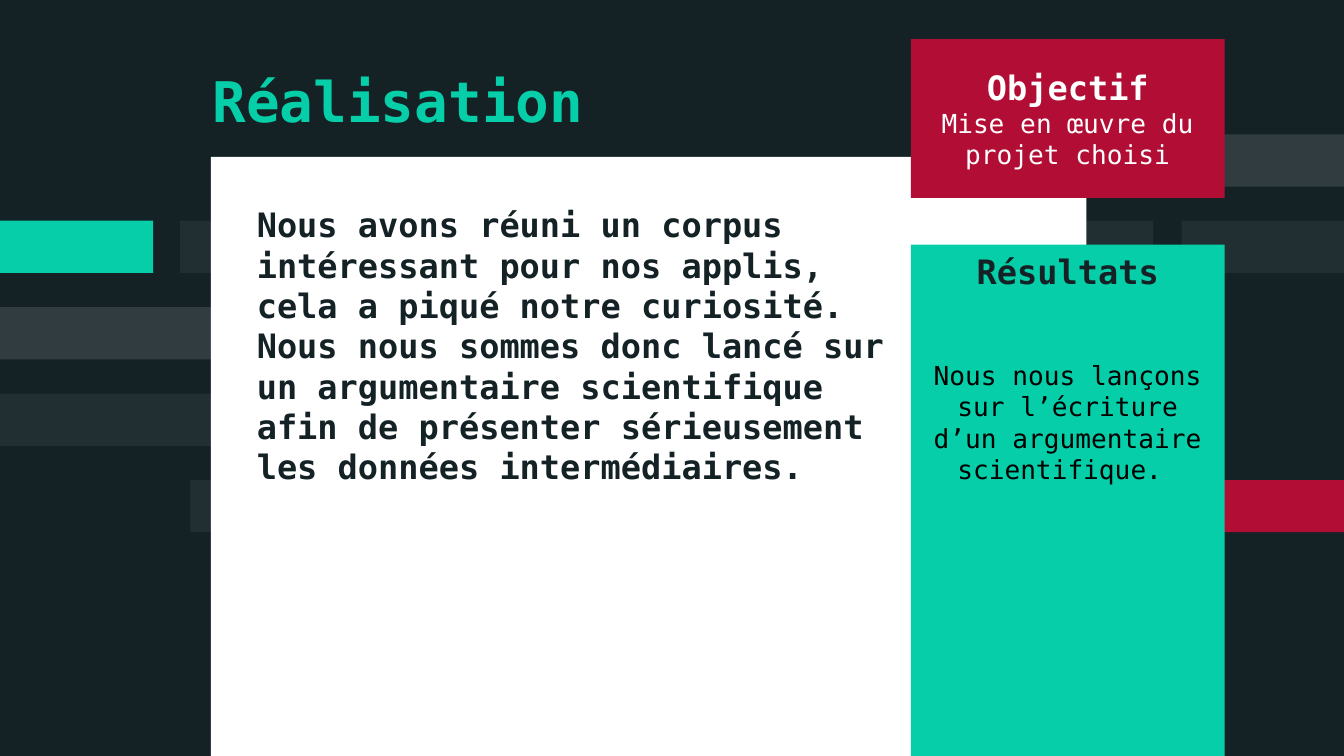
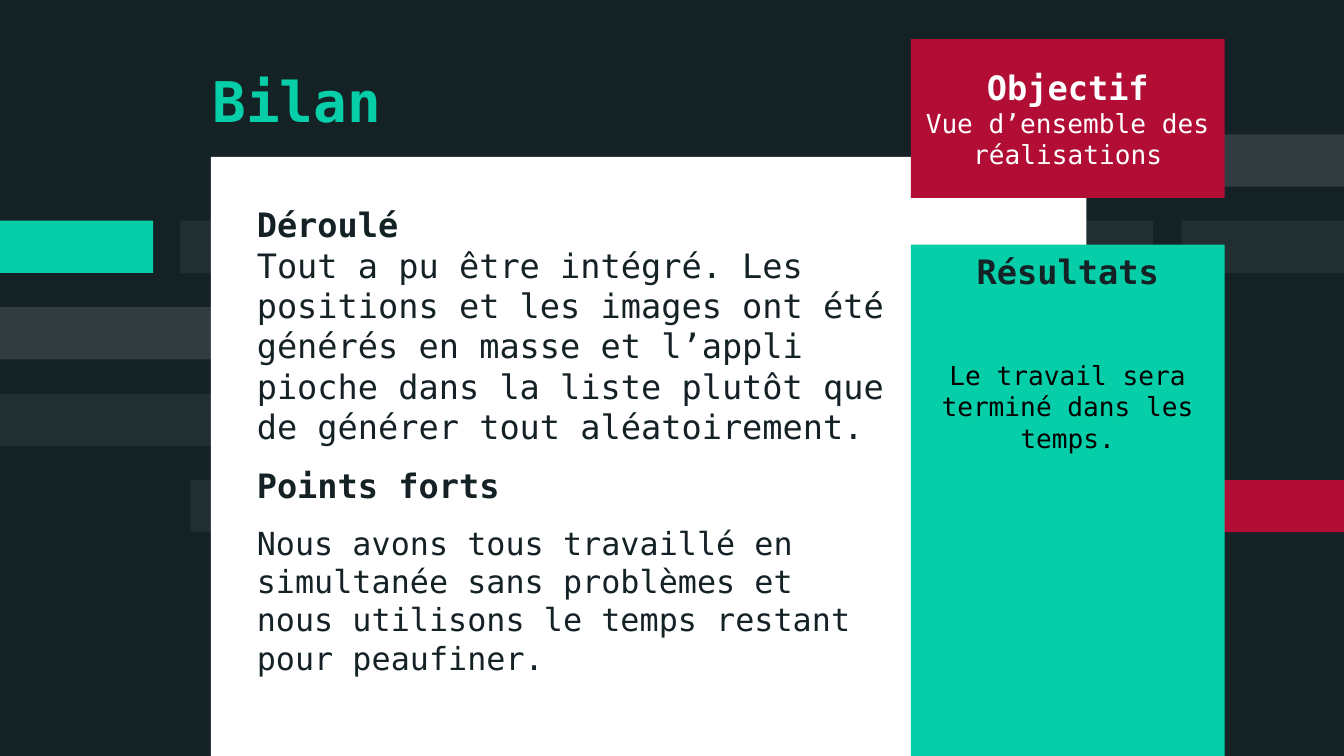
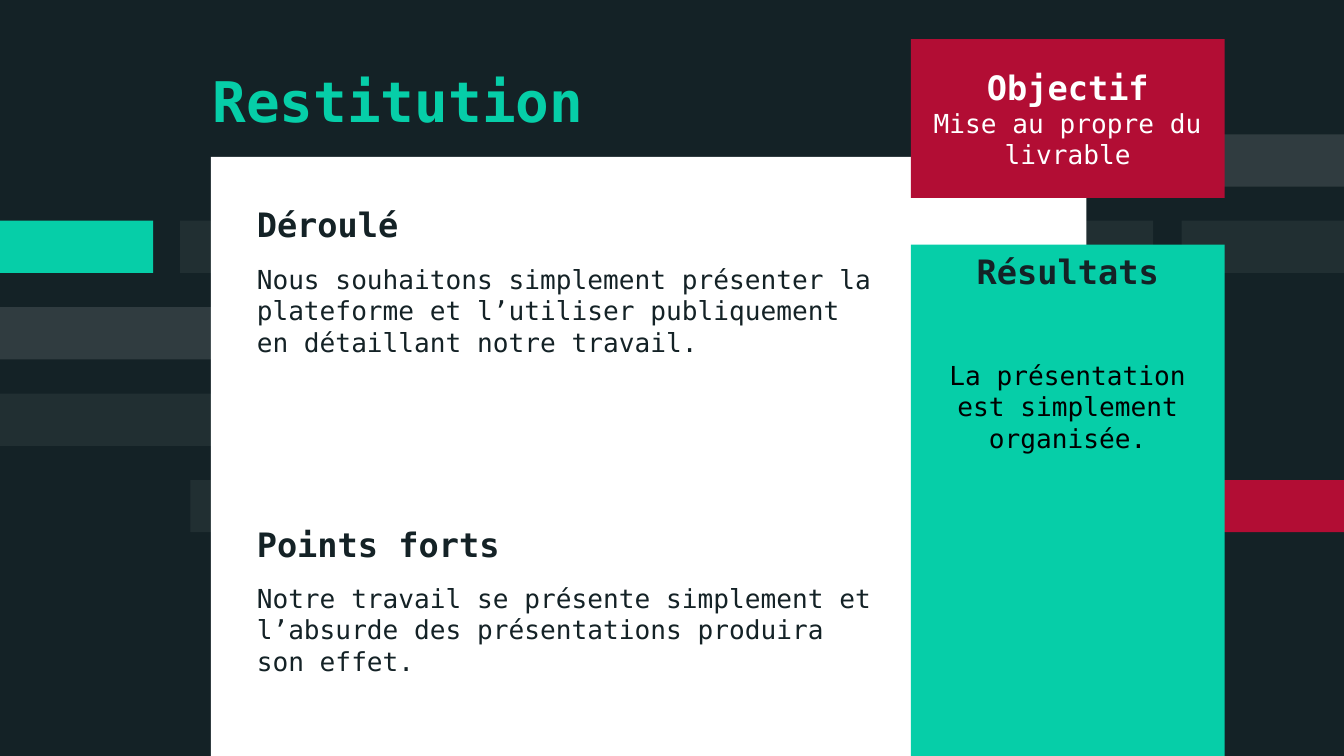
from lxml.etree import SubElement
from pptx import Presentation
from pptx.dml.color import RGBColor
from pptx.enum.shapes import MSO_SHAPE
from pptx.enum.text import MSO_ANCHOR, MSO_AUTO_SIZE, PP_ALIGN
from pptx.oxml.ns import qn
from pptx.util import Pt

NIGHT = RGBColor(0x14, 0x22, 0x26)
MINT = RGBColor(0x06, 0xCE, 0xA8)
CRIMSON = RGBColor(0xB2, 0x0D, 0x34)
WHITE = RGBColor(0xFF, 0xFF, 0xFF)
BLACK = RGBColor(0x00, 0x00, 0x00)
FONT = "DejaVu Sans Mono"

HEADING, TEXT = 18, 14  # text sizes
GAP = 10  # space between paragraphs
LINE = 16.3  # height of one line of TEXT size


def spaced(lines):
    """Return a paragraph gap that leaves the given number of lines free."""
    return round(GAP + lines * (LINE + GAP), 2)


# Body paragraphs: text and format
SLIDES = [
    {
        "title": "Réalisation",
        "goal": "Mise en œuvre du projet choisi",
        "body": [
            ("Nous avons réuni un corpus intéressant pour nos applis, cela a "
             "piqué notre curiosité. Nous nous sommes donc lancé sur un "
             "argumentaire scientifique afin de présenter sérieusement les "
             "données intermédiaires.", {"bold": True}),
        ],
        "results": "Nous nous lançons sur l’écriture d’un argumentaire scientifique. ",
    },
    {
        "title": "Bilan",
        "goal": "Vue d’ensemble des réalisations",
        "body": [
            ("Déroulé", {"bold": True}),
            ("Tout a pu être intégré. Les positions et les images ont été "
             "générés en masse et l’appli pioche dans la liste plutôt que de "
             "générer tout aléatoirement.", {}),
            ("Points forts", {"bold": True, "before": GAP}),
            ("Nous avons tous travaillé en simultanée sans problèmes et nous "
             "utilisons le temps restant pour peaufiner.",
             {"size": 17, "before": GAP, "after": GAP}),
        ],
        "results": "Le travail sera terminé dans les temps.",
    },
    {
        "title": "Restitution",
        "goal": "Mise au propre du livrable",
        "body": [
            ("Déroulé", {"bold": True}),
            ("Nous souhaitons simplement présenter la plateforme et l’utiliser "
             "publiquement en détaillant notre travail.",
             {"size": TEXT, "before": GAP}),
            ("Points forts", {"bold": True, "before": spaced(3)}),
            ("Notre travail se présente simplement et l’absurde des "
             "présentations produira son effet.",
             {"size": TEXT, "before": GAP, "after": GAP}),
        ],
        "results": "La présentation est simplement organisée.",
    },
]

# Left, top, width, height in points
TITLE_BOX = (106.6, 27.4, 493, 52.6)
PANEL_BOX = (113, 84, 469, 325.5)
BODY_BOX = (130.5, 106, 352, 294)
RESULTS_BOX = (488, 131, 168, 281.5)
GOAL_BOX = (488, 21, 168, 85)

# Background bands: row, left, width, colour, opacity in percent
BANDS = [
    (2, 0, 139, WHITE, 12),
    (1, 96.5, 87, WHITE, 6),
    (3, 0, 177, WHITE, 6),
    (1, 0, 82, MINT, 100),
    (4, 102, 87, WHITE, 6),
    (4, 638, 82, CRIMSON, 100),
    (1, 633, 87, WHITE, 6),
    (1, 431.3, 186.5, WHITE, 6),
    (0, 543, 177, WHITE, 12),
]
BAND_TOP, BAND_PITCH, BAND_HEIGHT = 72, 46.3, 28


def add_block(slide, box, colour, opacity=100):
    """Add a plain filled rectangle, see-through if opacity is below 100."""
    block = slide.shapes.add_shape(MSO_SHAPE.RECTANGLE, *map(Pt, box))
    block.shadow.inherit = False
    block.fill.solid()
    block.fill.fore_color.rgb = colour
    block.line.fill.background()
    if opacity < 100:
        tint = block.element.spPr.find(qn("a:solidFill")).find(qn("a:srgbClr"))
        SubElement(tint, qn("a:alpha")).set("val", str(opacity * 1000))
    return block


def write(frame, text, size=HEADING, colour=NIGHT, bold=False,
          align=PP_ALIGN.LEFT, before=0, after=0):
    """Write one formatted paragraph at the end of a text frame."""
    paragraph = frame.paragraphs[0] if not frame.text else frame.add_paragraph()
    paragraph.alignment = align
    paragraph.space_before, paragraph.space_after = Pt(before), Pt(after)
    run = paragraph.add_run()
    run.text = text
    run.font.name, run.font.size, run.font.bold = FONT, Pt(size), bold
    run.font.color.rgb = colour


def prepare(frame, anchor=MSO_ANCHOR.TOP):
    """Make a text frame wrap, keep its size and anchor its text."""
    frame.word_wrap = True
    frame.auto_size = MSO_AUTO_SIZE.NONE
    frame.vertical_anchor = anchor
    return frame


def dress_layout(layout, slide):
    """Give the layout its background and bands, drawn by way of a slide."""
    layout.background.fill.solid()
    layout.background.fill.fore_color.rgb = NIGHT
    for holder in list(layout.placeholders)[1:]:
        layout.shapes.element.remove(holder.element)
    for index, (row, left, width, colour, opacity) in enumerate(BANDS):
        top = round(BAND_TOP + row * BAND_PITCH, 2)
        band = add_block(slide, (left, top, width, BAND_HEIGHT), colour, opacity)
        layout.shapes.element.insert(2 + index, band.element)


def fill_slide(slide, content):
    """Place the title, the body panel and the two side boxes."""
    title = slide.shapes.title
    title.left, title.top, title.width, title.height = map(Pt, TITLE_BOX)
    write(prepare(title.text_frame, MSO_ANCHOR.MIDDLE), content["title"],
          size=30, colour=MINT, bold=True)

    add_block(slide, PANEL_BOX, WHITE)
    body = prepare(slide.shapes.add_textbox(*map(Pt, BODY_BOX)).text_frame)
    for text, style in content["body"]:
        write(body, text, **style)

    results = prepare(add_block(slide, RESULTS_BOX, MINT).text_frame)
    write(results, "Résultats", bold=True, align=PP_ALIGN.CENTER, before=GAP)
    write(results, content["results"], size=TEXT, colour=BLACK,
          align=PP_ALIGN.CENTER, before=spaced(1))

    goal = prepare(add_block(slide, GOAL_BOX, CRIMSON).text_frame, MSO_ANCHOR.MIDDLE)
    write(goal, "Objectif", colour=WHITE, bold=True, align=PP_ALIGN.CENTER)
    write(goal, content["goal"], size=TEXT, colour=WHITE, align=PP_ALIGN.CENTER)


deck = Presentation()
deck.slide_width, deck.slide_height = Pt(720), Pt(405)
title_only = deck.slide_layouts[5]
for number, content in enumerate(SLIDES):
    slide = deck.slides.add_slide(title_only)
    if number == 0:
        dress_layout(title_only, slide)
    fill_slide(slide, content)
deck.save("out.pptx")
